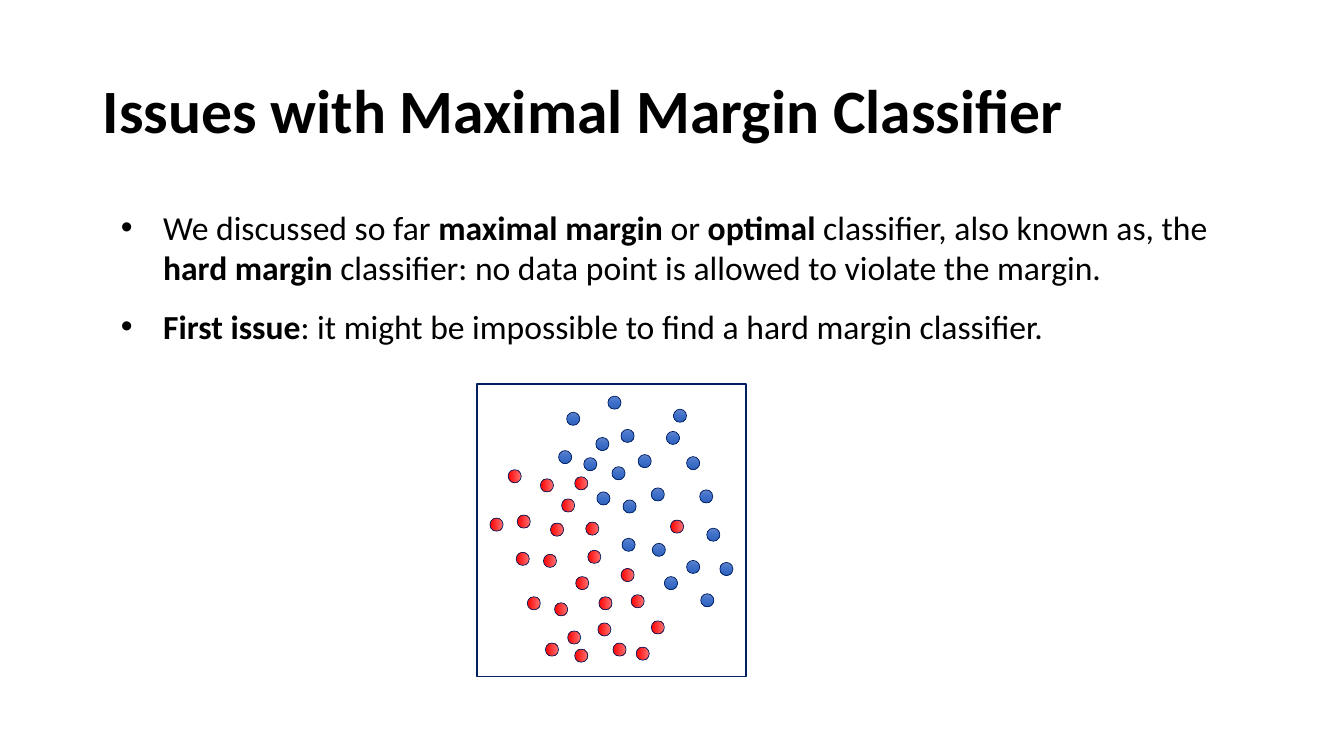
"""Build a slide on the issues with the maximal margin classifier."""
from pptx import Presentation
from pptx.dml.color import RGBColor
from pptx.enum.shapes import MSO_SHAPE
from pptx.enum.text import MSO_ANCHOR, MSO_AUTO_SIZE, PP_ALIGN
from pptx.oxml import parse_xml
from pptx.oxml.ns import nsdecls
from pptx.util import Pt

RECTANGLE, OVAL, CONNECTOR = MSO_SHAPE.RECTANGLE, MSO_SHAPE.OVAL, MSO_SHAPE.FLOWCHART_CONNECTOR
MIDDLE, LEFT, NO_FIT = MSO_ANCHOR.MIDDLE, PP_ALIGN.LEFT, MSO_AUTO_SIZE.NONE
PX = 9144
DOT = 13
NAVY = "002060"


def color(value):
    return RGBColor.from_string(value)


def add_run(paragraph, text, size, bold):
    run = paragraph.add_run()
    run.text = text
    run.font.name = "Calibri"
    run.font.size = Pt(size)
    run.font.bold = bold
    run.font.color.rgb = color("000000")


presentation = Presentation()
presentation.slide_width, presentation.slide_height = 1333 * PX, 750 * PX
slide = presentation.slides.add_slide(presentation.slide_layouts[5])

title = slide.shapes.title
title.left, title.top, title.width, title.height = 92 * PX, 40 * PX, 1150 * PX, 145 * PX
title.text_frame.auto_size = NO_FIT
title.text_frame.vertical_anchor = MIDDLE
heading = title.text_frame.paragraphs[0]
heading.alignment = LEFT
heading.line_spacing = 0.9
add_run(heading, "Issues with Maximal Margin Classifier", 44, True)

bullets = [
    [
        ("We discussed so far ", False),
        ("maximal margin ", True),
        ("or ", False),
        ("optimal", True),
        (" classifier, also known as, the ", False),
        ("hard margin ", True),
        ("classifier: no data point is allowed to violate the margin.", False),
    ],
    [
        ("First issue", True),
        (": it might be impossible to find a hard margin classifier.", False),
    ],
]
body = slide.shapes.add_textbox(92 * PX, 200 * PX, 1150 * PX, 457 * PX)
body.text_frame.word_wrap = True
for index, runs in enumerate(bullets):
    paragraph = body.text_frame.paragraphs[0] if index == 0 else body.text_frame.add_paragraph()
    properties = paragraph._p.get_or_add_pPr()
    properties.set("marL", str(60 * PX))
    properties.set("indent", str(-42 * PX))
    properties.append(parse_xml(f'<a:buFont {nsdecls("a")} typeface="Arial"/>'))
    properties.append(parse_xml(f'<a:buChar {nsdecls("a")} char="•"/>'))
    if index:
        paragraph.space_before = Pt(13.3)
    for text, bold in runs:
        add_run(paragraph, text, 24, bold)

plot = slide.shapes.add_group_shape()
frame = plot.shapes.add_shape(RECTANGLE, 473 * PX, 381 * PX, 267 * PX, 290 * PX)
frame.shadow.inherit = False
frame.fill.solid()
frame.fill.fore_color.rgb = color("FFFFFF")
frame.line.color.rgb = color(NAVY)
frame.line.width = Pt(1)

red_points = [
    (665, 516), (512, 548), (594, 592), (570, 644), (593, 618), (557, 495), (546, 519),
    (626, 590), (631, 642), (504, 466), (583, 546), (539, 550), (513, 511), (541, 638),
    (646, 616), (616, 564), (581, 518), (571, 572), (608, 638), (523, 592), (486, 514),
    (563, 626), (550, 598), (536, 475), (570, 473),
]
blue_points = [
    (562, 409), (603, 393), (668, 406), (633, 451), (647, 539), (681, 453), (579, 454),
    (701, 524), (618, 496), (695, 589), (591, 434), (616, 426), (661, 428), (646, 484),
    (659, 572), (694, 486), (607, 463), (592, 488), (714, 558), (681, 556), (554, 447),
    (617, 534),
]
classes = [
    (red_points, CONNECTOR, 0, [(0, "FF0000"), (100, "FF7171")]),
    (blue_points, OVAL, 90, [(0, "6183CB"), (50, "3E70CA"), (100, "3062BB")]),
]
for points, preset, angle, stops in classes:
    stop_xml = "".join(
        f'<a:gs pos="{position * 1000}"><a:srgbClr val="{value}"/></a:gs>'
        for position, value in stops
    )
    gradient_xml = (
        f'<a:gradFill {nsdecls("a")} rotWithShape="1"><a:gsLst>{stop_xml}</a:gsLst>'
        f'<a:lin ang="{angle * 60000}" scaled="0"/></a:gradFill>'
    )
    for left, top in points:
        dot = plot.shapes.add_shape(preset, left * PX, top * PX, DOT * PX, DOT * PX)
        dot.shadow.inherit = False
        dot.element.spPr.insert(2, parse_xml(gradient_xml))
        dot.line.color.rgb = color(NAVY)
        dot.line.width = Pt(0.5)

presentation.save("out.pptx")
